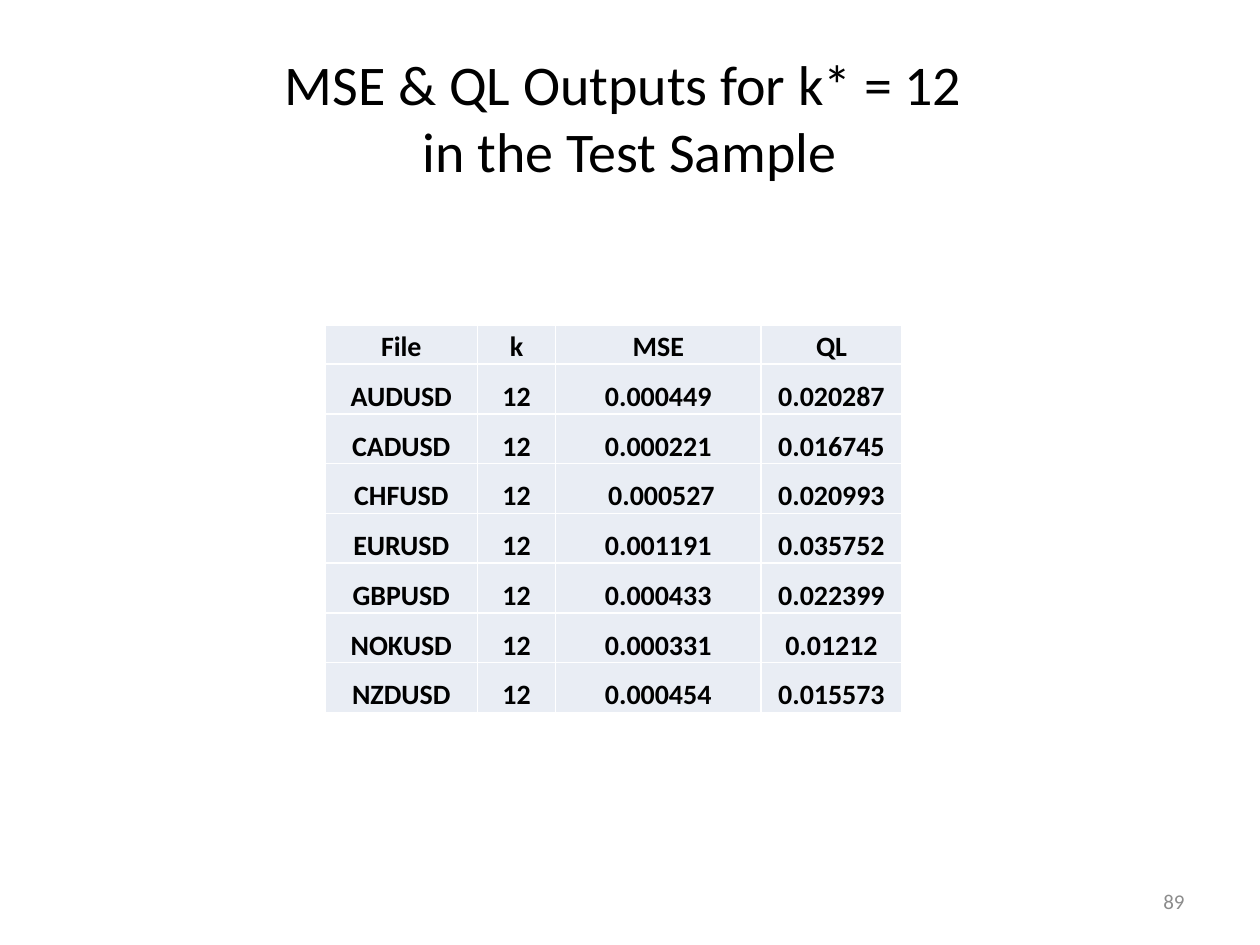
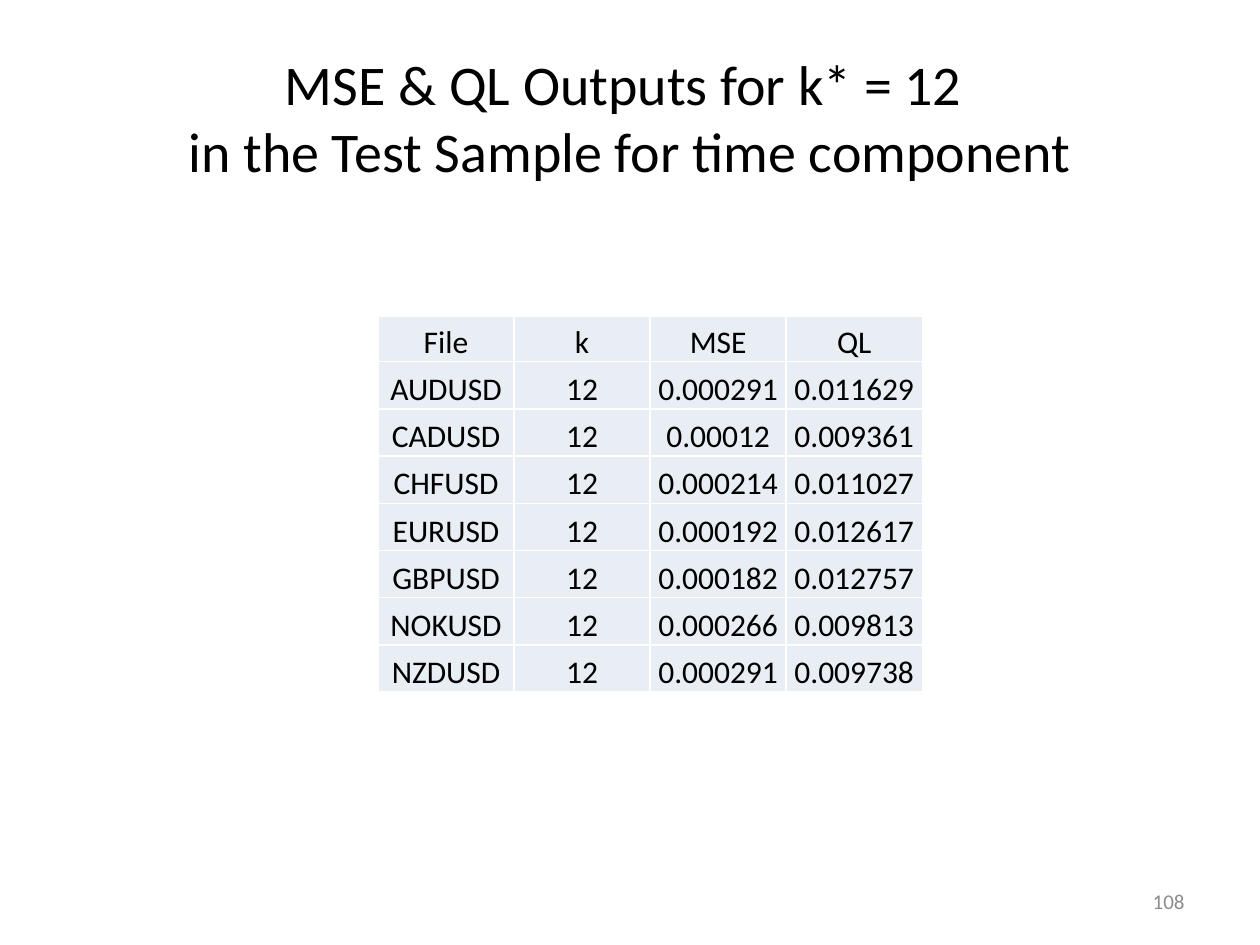
from lxml.etree import SubElement as Sub
from pptx import Presentation
from pptx.dml.color import RGBColor
from pptx.enum.text import MSO_ANCHOR as Anchor, MSO_AUTO_SIZE as Fit, PP_ALIGN as Align
from pptx.oxml.ns import qn
from pptx.util import Inches, Pt

FONT = "Calibri"
BLACK, GRAY, WHITE, PALE = "000000", "8C8C8C", "FFFFFF", "E9EDF4"
TITLE_BOX = (0.5, 0.3, 9, 1.25)
PAGE_BOX = (7.17, 6.95, 2.33, 0.4)
LAG = "12"
HEAD = ("File", "k", "MSE", "QL")
PAIRS = ("AUDUSD", "CADUSD", "CHFUSD", "EURUSD", "GBPUSD", "NOKUSD", "NZDUSD")

SLIDES = [
    dict(
        title="MSE & QL Outputs for k* = 12 \vin the Test Sample",
        page="89",
        mse=("0.000449", "0.000221", " 0.000527", "0.001191",
             "0.000433", "0.000331", "0.000454"),
        ql=("0.020287", "0.016745", "0.020993", "0.035752",
            "0.022399", "0.01212", "0.015573"),
        spot=(2.58, 2.58), cols=(1.21, 0.62, 1.63, 1.12),
        top_row=0.31, row=0.395, size=16, bold=True,
    ),
    dict(
        title="MSE & QL Outputs for k* = 12 \vin the Test Sample for time component",
        page="108",
        mse=("0.000291", "0.00012", "0.000214", "0.000192",
             "0.000182", "0.000266", "0.000291"),
        ql=("0.011629", "0.009361", "0.011027", "0.012617",
            "0.012757", "0.009813", "0.009738"),
        spot=(3, 2.51), cols=(1.08,) * 4,
        top_row=0.36, row=0.375, size=18, bold=False,
    ),
]


def color(code):
    return RGBColor.from_string(code)


def write(frame, text, size, ink=BLACK, bold=False, align=Align.CENTER):
    para = frame.paragraphs[0]
    para.text = text
    para.alignment = align
    for run in para.runs:
        font = run.font
        font.name, font.size, font.bold = FONT, Pt(size), bold
        font.color.rgb = color(ink)


def edge(cell):
    """Draw a thin white line on all four sides of a cell."""
    props = cell._tc.get_or_add_tcPr()
    for side in ("lnL", "lnR", "lnT", "lnB"):
        line = Sub(props, qn(f"a:{side}"), w=str(Pt(1)))
        Sub(Sub(line, qn("a:solidFill")), qn("a:srgbClr"), val=WHITE)


def style(cell):
    edge(cell)
    cell.fill.solid()
    cell.fill.fore_color.rgb = color(PALE)
    cell.vertical_anchor = Anchor.BOTTOM
    cell.margin_left = cell.margin_right = cell.margin_top = Inches(0.01)
    cell.margin_bottom = 0


def add_title(slide, text):
    title = slide.shapes.title
    title.left, title.top, title.width, title.height = map(Inches, TITLE_BOX)
    frame = title.text_frame
    frame.auto_size = Fit.NONE
    frame.vertical_anchor = Anchor.MIDDLE
    write(frame, text, 32)


def add_page(slide, text):
    frame = slide.shapes.add_textbox(*map(Inches, PAGE_BOX)).text_frame
    frame.word_wrap = True
    frame.vertical_anchor = Anchor.MIDDLE
    write(frame, text, 12, ink=GRAY, align=Align.RIGHT)


def add_grid(slide, item):
    rows = [HEAD] + [(pair, LAG, mse, ql) for pair, mse, ql
                     in zip(PAIRS, item["mse"], item["ql"])]
    highs = [item["top_row"]] + [item["row"]] * len(PAIRS)
    area = (*item["spot"], sum(item["cols"]), sum(highs))
    grid = slide.shapes.add_table(len(rows), len(HEAD), *map(Inches, area)).table
    grid.first_row = grid.horz_banding = False
    for col, wide in zip(grid.columns, item["cols"]):
        col.width = Inches(wide)
    for r, (row, high) in enumerate(zip(rows, highs)):
        grid.rows[r].height = Inches(high)
        for c, text in enumerate(row):
            cell = grid.cell(r, c)
            style(cell)
            write(cell.text_frame, text, item["size"], bold=item["bold"])


def main():
    deck = Presentation()
    deck.slide_width, deck.slide_height = Inches(10), Inches(7.5)
    for item in SLIDES:
        slide = deck.slides.add_slide(deck.slide_layouts.get_by_name("Title Only"))
        add_title(slide, item["title"])
        add_page(slide, item["page"])
        add_grid(slide, item)
    deck.save("out.pptx")


if __name__ == "__main__":
    main()
